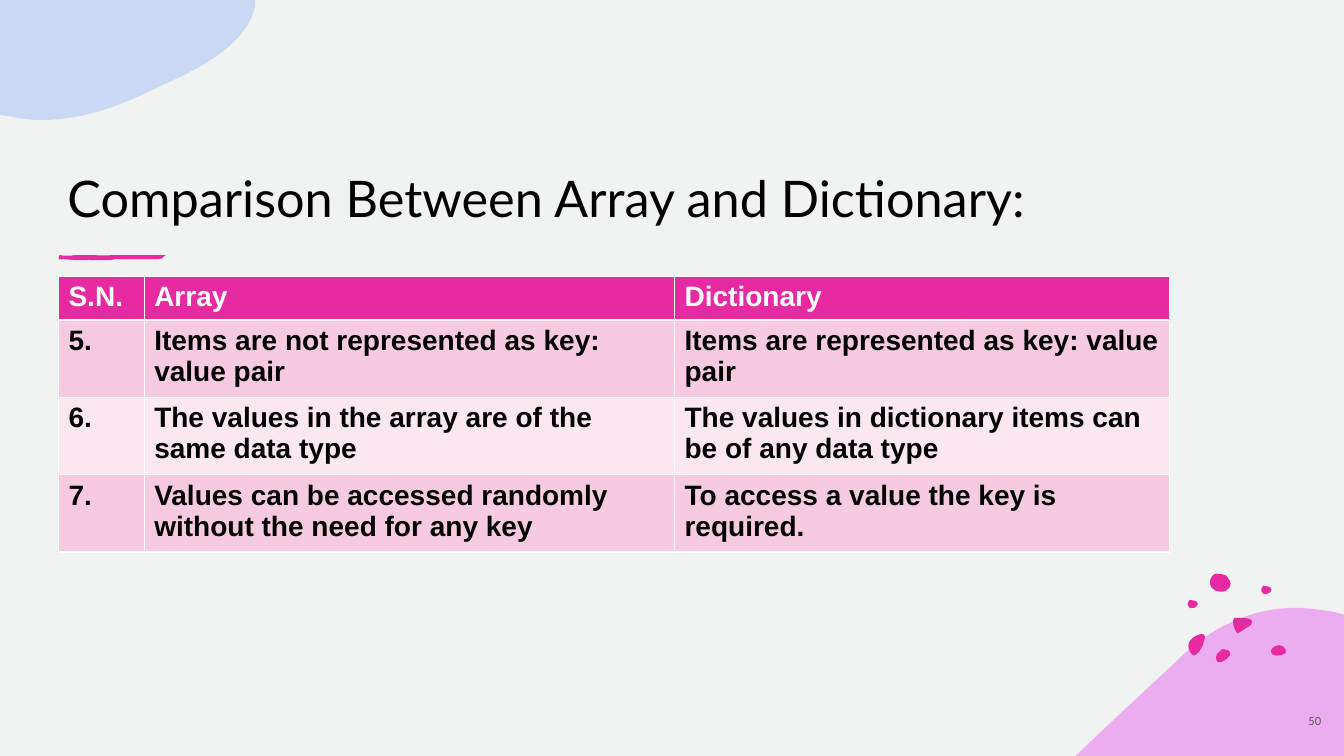
from lxml.etree import SubElement
from pptx import Presentation
from pptx.dml.color import RGBColor
from pptx.enum.text import MSO_ANCHOR, PP_ALIGN
from pptx.oxml.ns import qn
from pptx.util import Inches, Pt

COLORS = {
    "background": "F0F3F1", "accent": "E729A2", "blue": "A7BFF5", "violet": "E868EF",
    "band": "F6CBDF", "light band": "FAE7F0", "black": "000000", "white": "FFFFFF",
    "grey": "595959",
}

TITLE = "Comparison Between Array and Dictionary:"
PAGE_NUMBER = "50"
ROWS = [
    ("S.N.", "Array", "Dictionary"),
    ("5.", "Items are not represented as key: value pair",
     "Items are represented as key: value pair"),
    ("6.", "The values in the array are of the same data type",
     "The values in dictionary items can be of any data type"),
    ("7.", "Values can be accessed randomly without the need for any key",
     "To access a value the key is required."),
]
COLUMN_WIDTHS = [0.85, 5.26, 4.91]
ROW_HEIGHT = 0.41

# Outlines in inches: a start point, then lines (x, y) or cubic curves (two controls, end).
BLUE_CORNER = [
    (0, 0), (2.53, 0), (2.53, 0.06), (2.45, 0.44, 2, 0.67, 1.58, 0.86),
    (1.23, 1.03, 0.86, 1.19, 0.41, 1.19), (0.31, 1.19, 0.22, 1.18, 0.13, 1.16), (0, 1.14),
]
VIOLET_CORNER = [
    (12.88, 6.03), (13.01, 6.04, 13.14, 6.05, 13.27, 6.08), (13.33, 6.1), (13.33, 7.5),
    (10.67, 7.5), (10.68, 7.49), (11.02, 7.16, 11.37, 6.84, 11.69, 6.54),
    (11.91, 6.32, 12.14, 6.19, 12.37, 6.11), (12.54, 6.05, 12.71, 6.03, 12.88, 6.03),
]
SMALL_DOT = [
    (0, 0.05), (0, 0.05, 0, 0.01, 0.02, 0), (0.04, 0, 0.05, 0, 0.07, 0.01),
    (0.08, 0.01, 0.1, 0.02, 0.1, 0.04), (0.1, 0.05, 0.09, 0.07, 0.08, 0.07),
    (0.08, 0.07, 0.08, 0.08, 0.06, 0.08), (0.05, 0.08, 0.03, 0.09, 0.02, 0.08),
    (0.01, 0.06, 0, 0.06, 0, 0.05),
]
SMALL_DOT_PLACES = [(12.51, 5.81), (11.78, 5.95)]
DOTS = [
    [(12.13, 6.44), (12.15, 6.44, 12.16, 6.44, 12.18, 6.45),
     (12.2, 6.46, 12.21, 6.48, 12.2, 6.5), (12.18, 6.53, 12.12, 6.58, 12.08, 6.57),
     (12.07, 6.56, 12.06, 6.54, 12.06, 6.52), (12.06, 6.5, 12.08, 6.47, 12.1, 6.46),
     (12.11, 6.45, 12.12, 6.44, 12.13, 6.44)],
    [(11.91, 6.29), (11.93, 6.29, 11.95, 6.29, 11.95, 6.31),
     (11.95, 6.32, 11.95, 6.32, 11.95, 6.33), (11.94, 6.38, 11.92, 6.43, 11.89, 6.47),
     (11.87, 6.49, 11.84, 6.52, 11.82, 6.49), (11.79, 6.46, 11.78, 6.41, 11.79, 6.38),
     (11.8, 6.35, 11.82, 6.34, 11.84, 6.32), (11.85, 6.32, 11.88, 6.29, 11.91, 6.29)],
    [(12.69, 6.4), (12.71, 6.4, 12.74, 6.42, 12.75, 6.44),
     (12.76, 6.46, 12.76, 6.48, 12.73, 6.49), (12.7, 6.51, 12.62, 6.51, 12.61, 6.48),
     (12.6, 6.46, 12.61, 6.44, 12.62, 6.43), (12.64, 6.41, 12.66, 6.4, 12.69, 6.4)],
    [(12.01, 5.81), (12, 5.81, 11.99, 5.75, 12.02, 5.72),
     (12.04, 5.7, 12.04, 5.69, 12.07, 5.69), (12.1, 5.69, 12.14, 5.7, 12.16, 5.71),
     (12.18, 5.73, 12.22, 5.78, 12.2, 5.82), (12.17, 5.85, 12.16, 5.87, 12.12, 5.87),
     (12.09, 5.87, 12.04, 5.86, 12.03, 5.84), (12.01, 5.83, 12.01, 5.82, 12.01, 5.81)],
    [(12.28, 6.13), (12.34, 6.13, 12.45, 6.13, 12.41, 6.19),
     (12.41, 6.2, 12.4, 6.21, 12.39, 6.21), (12.36, 6.23, 12.33, 6.25, 12.3, 6.27),
     (12.29, 6.28, 12.28, 6.29, 12.27, 6.28), (12.27, 6.28, 12.26, 6.27, 12.26, 6.27),
     (12.24, 6.23, 12.23, 6.2, 12.23, 6.16), (12.23, 6.15, 12.23, 6.14, 12.24, 6.13)],
]
UNDERLINE = [
    (0.86, 2.58), (0.87, 2.57, 0.89, 2.58, 0.9, 2.58), (0.94, 2.58, 1.05, 2.58, 1.07, 2.58),
    (1.09, 2.58, 1.12, 2.58, 1.15, 2.57), (1.33, 2.57), (1.35, 2.57, 1.48, 2.57, 1.49, 2.57),
    (1.57, 2.57), (1.63, 2.57, 1.61, 2.54, 1.64, 2.53), (1.61, 2.53, 1.59, 2.53, 1.57, 2.53),
    (1.51, 2.53, 1.38, 2.53, 1.33, 2.53), (1.27, 2.53, 1.17, 2.53, 1.11, 2.53),
    (1.06, 2.54, 0.94, 2.53, 0.88, 2.53), (0.75, 2.53), (0.7, 2.54, 0.64, 2.54, 0.59, 2.53),
    (0.58, 2.54, 0.57, 2.58, 0.61, 2.57), (0.65, 2.57, 0.71, 2.58, 0.75, 2.58),
]
SPECK = [(0, 0), (0.01, 0), (0.01, 0.01)]
SPECK_PLACES = [(0.58, 2.57), (0.6, 2.57), (1.63, 2.53)]


def rgb(name):
    return RGBColor.from_string(COLORS[name])


def bend(sp, segments):
    """Replace each straight segment that has control points by a cubic curve."""
    lines = list(sp._element.iter(qn("a:lnTo")))
    for line, points in zip(lines, segments):
        if len(points) == 3:
            curve = line.makeelement(qn("a:cubicBezTo"))
            for x, y in points:
                SubElement(curve, qn("a:pt"), x=str(x - sp.left), y=str(y - sp.top))
            line.getparent().replace(line, curve)


def add_outline(slide, outline, color, alpha=None, offset=(0, 0)):
    dx, dy = offset
    segments = [[(Inches(x + dx), Inches(y + dy)) for x, y in zip(s[::2], s[1::2])]
                for s in outline]
    start, *ends = [points[-1] for points in segments]
    builder = slide.shapes.build_freeform(*start, scale=1.0)
    builder.add_line_segments(ends, close=True)
    sp = builder.convert_to_shape()
    bend(sp, segments[1:])
    sp.shadow.inherit = False
    sp.fill.solid()
    sp.fill.fore_color.rgb = rgb(color)
    sp.line.fill.background()
    if alpha:
        srgb = sp.fill._xPr.find(qn("a:solidFill")).find(qn("a:srgbClr"))
        SubElement(srgb, qn("a:alpha"), val=str(alpha * 1000))


def write(tf, text, font, size, color, bold=False):
    p = tf.paragraphs[0]
    r = p.add_run()
    r.text = text
    r.font.name, r.font.size, r.font.bold = font, Pt(size), bold
    r.font.color.rgb = rgb(color)
    return p


def add_text(slide, box, anchor, *style):
    tf = slide.shapes.add_textbox(*map(Inches, box)).text_frame
    tf.word_wrap = True
    tf.vertical_anchor = anchor
    return write(tf, *style)


def add_comparison(slide):
    table = slide.shapes.add_table(
        len(ROWS), len(COLUMN_WIDTHS), Inches(0.58), Inches(2.74),
        Inches(sum(COLUMN_WIDTHS)), Inches(ROW_HEIGHT * len(ROWS))).table
    for column, width in zip(table.columns, COLUMN_WIDTHS):
        column.width = Inches(width)
    for i, texts in enumerate(ROWS):
        table.rows[i].height = Inches(ROW_HEIGHT)
        fill = "accent" if i == 0 else "band" if i % 2 else "light band"
        for j, text in enumerate(texts):
            cell = table.cell(i, j)
            cell.fill.solid()
            cell.fill.fore_color.rgb = rgb(fill)
            write(cell.text_frame, text, "Arial", 20, "black" if i else "white", True)


def main():
    prs = Presentation()
    prs.slide_width, prs.slide_height = Inches(13.33), Inches(7.5)
    slide = prs.slides.add_slide(prs.slide_layouts[6])
    slide.background.fill.solid()
    slide.background.fill.fore_color.rgb = rgb("background")

    add_outline(slide, VIOLET_CORNER, "violet", 50)
    for dot in DOTS:
        add_outline(slide, dot, "accent")
    for place in SMALL_DOT_PLACES:
        add_outline(slide, SMALL_DOT, "accent", offset=place)
    add_outline(slide, BLUE_CORNER, "blue", 50)
    for place in SPECK_PLACES:
        add_outline(slide, SPECK, "accent", offset=place)
    add_outline(slide, UNDERLINE, "accent")

    add_text(slide, (0.57, 0.86, 11.02, 1.45), MSO_ANCHOR.BOTTOM, TITLE, "Lato", 36, "black")
    add_comparison(slide)
    p = add_text(slide, (12.75, 6.95, 0.58, 0.4), MSO_ANCHOR.MIDDLE,
                 PAGE_NUMBER, "Calibri", 9, "grey")
    p.alignment = PP_ALIGN.CENTER
    prs.save("out.pptx")


if __name__ == "__main__":
    main()
